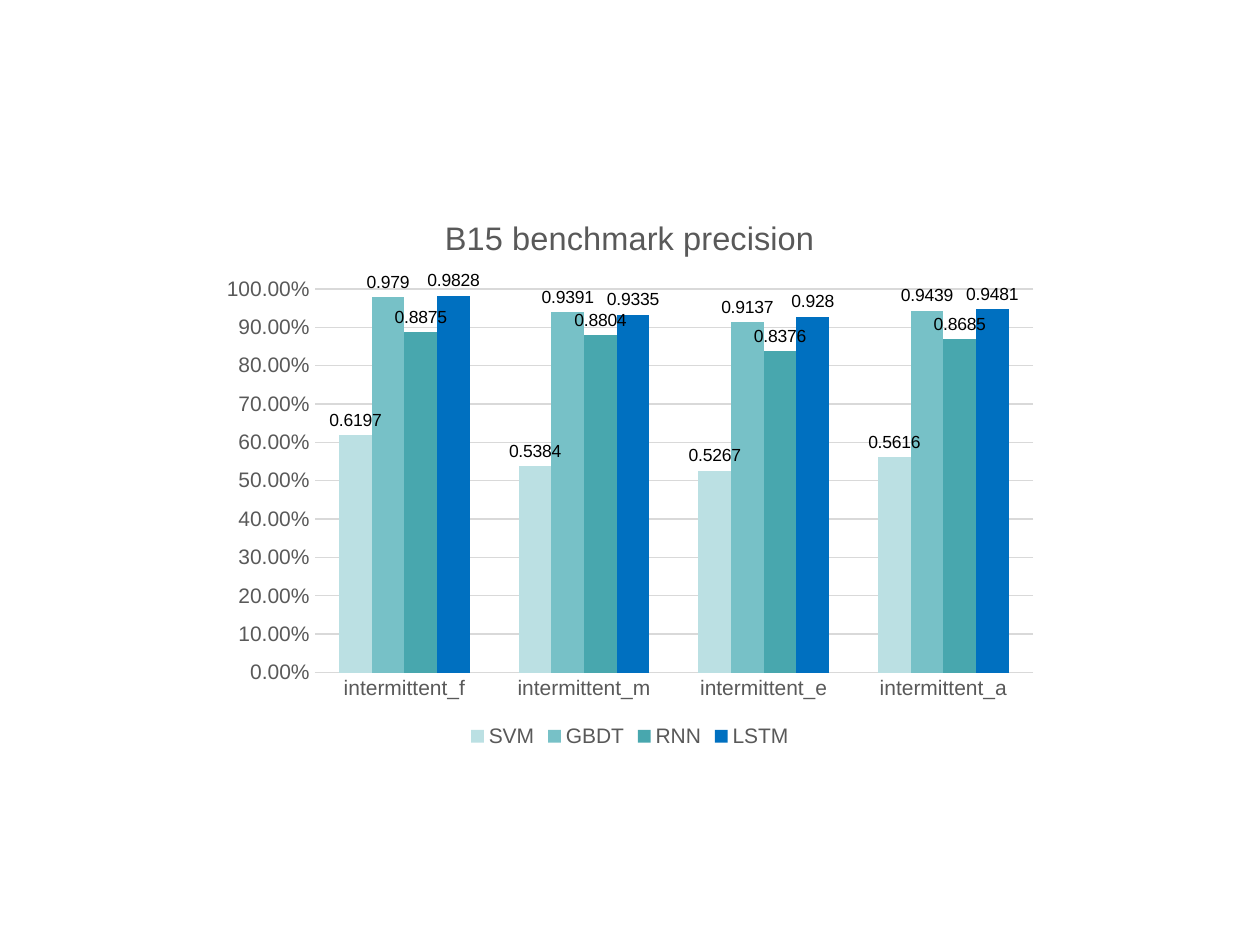
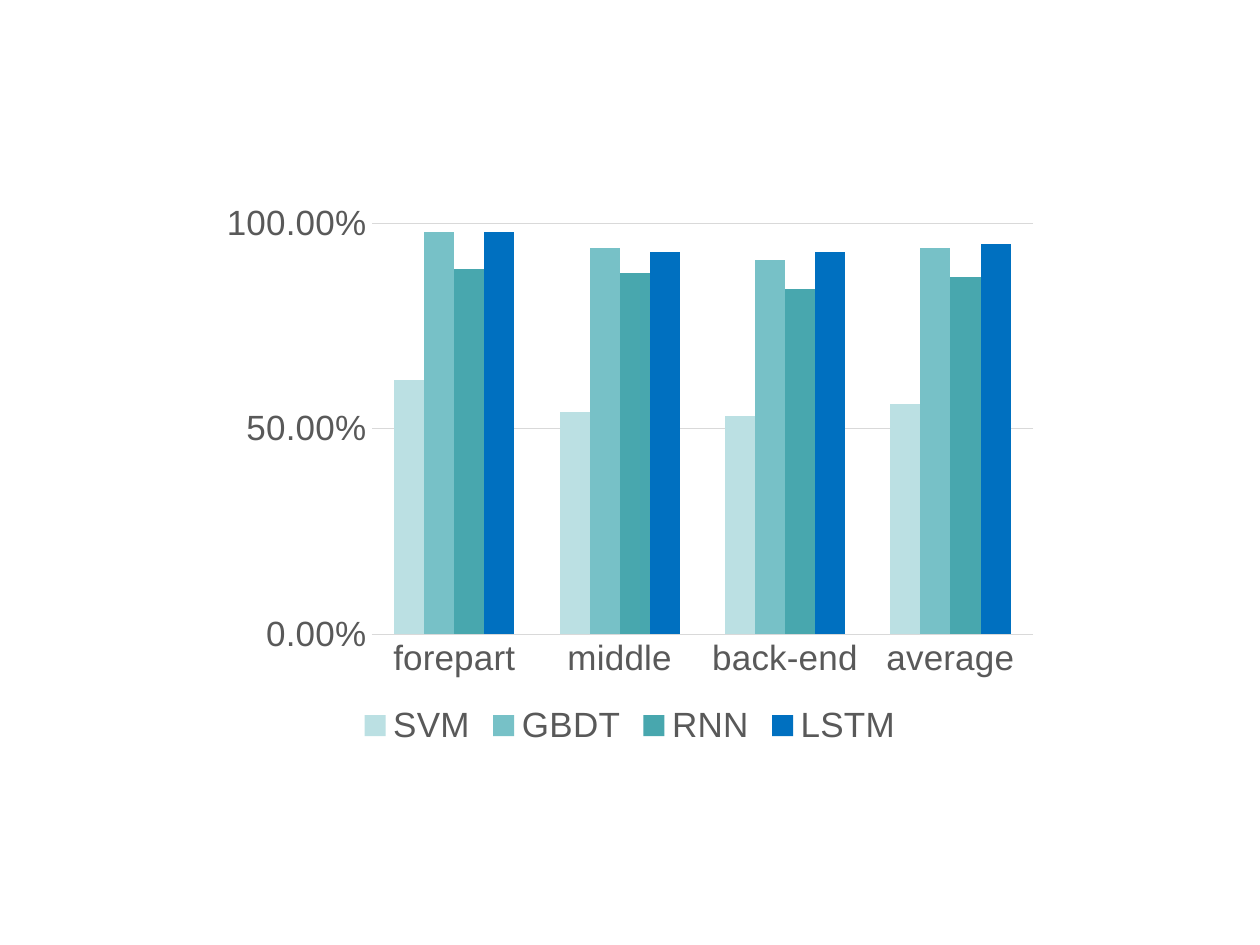
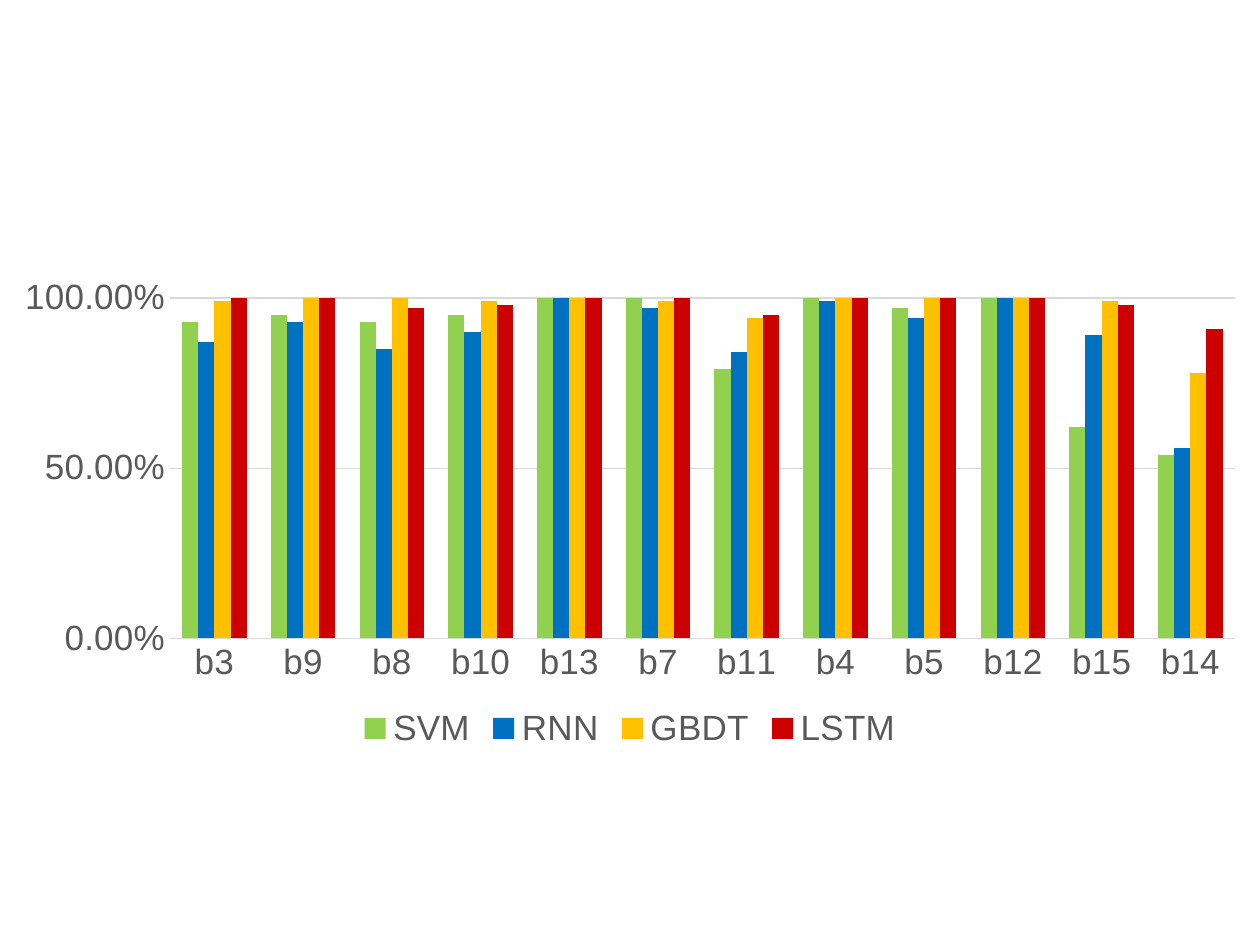
from dataclasses import dataclass

from pptx import Presentation
from pptx.chart.data import CategoryChartData
from pptx.dml.color import RGBColor
from pptx.enum.chart import XL_CHART_TYPE as ChartType
from pptx.enum.chart import XL_LABEL_POSITION as LabelPosition
from pptx.enum.chart import XL_LEGEND_POSITION as LegendPosition
from pptx.enum.chart import XL_TICK_MARK as TickMark
from pptx.util import Pt


@dataclass(frozen=True)
class Theme:
    font: str = "Arial"
    text: str = "595959"
    label: str = "000000"
    rule: str = "D9D9D9"
    title_size: float = 18.6
    label_size: float = 10
    rule_width: float = 0.75
    gap_width: int = 150


THEME = Theme()
SLIDE_WIDTH, SLIDE_HEIGHT = 720, 540
CENTERED_FRAME = (120, 110, 480, 320)
FULL_WIDTH_FRAME = (0, 153.5, SLIDE_WIDTH, 278)
TEAL_TO_BLUE = {"SVM": "BBE0E3", "GBDT": "77C1C7", "RNN": "48A7AE", "LSTM": "0070C0"}
CONTRASTING = {"SVM": "92D050", "RNN": "0070C0", "GBDT": "FFC000", "LSTM": "CC0000"}

BENCHMARKS = [
    {
        "title": "B15 benchmark precision",
        "frame": CENTERED_FRAME,
        "text_size": 12,
        "major_unit": 0.1,
        "value_labels": True,
        "colors": TEAL_TO_BLUE,
        "categories": ["intermittent_f", "intermittent_m", "intermittent_e", "intermittent_a"],
        "precision": {
            "SVM": [0.6197, 0.5384, 0.5267, 0.5616],
            "GBDT": [0.979, 0.9391, 0.9137, 0.9439],
            "RNN": [0.8875, 0.8804, 0.8376, 0.8685],
            "LSTM": [0.9828, 0.9335, 0.928, 0.9481],
        },
    },
    {
        "title": None,
        "frame": CENTERED_FRAME,
        "text_size": 20,
        "major_unit": 0.5,
        "value_labels": False,
        "colors": TEAL_TO_BLUE,
        "categories": ["forepart", "middle", "back-end", "average"],
        "precision": {
            "SVM": [0.62, 0.54, 0.53, 0.56],
            "GBDT": [0.98, 0.94, 0.91, 0.94],
            "RNN": [0.89, 0.88, 0.84, 0.87],
            "LSTM": [0.98, 0.93, 0.93, 0.95],
        },
    },
    {
        "title": None,
        "frame": FULL_WIDTH_FRAME,
        "text_size": 20,
        "major_unit": 0.5,
        "value_labels": False,
        "colors": CONTRASTING,
        "categories": ["b3", "b9", "b8", "b10", "b13", "b7",
                       "b11", "b4", "b5", "b12", "b15", "b14"],
        "precision": {
            "SVM": [0.93, 0.95, 0.93, 0.95, 1, 1, 0.79, 1, 0.97, 1, 0.62, 0.54],
            "RNN": [0.87, 0.93, 0.85, 0.9, 1, 0.97, 0.84, 0.99, 0.94, 1, 0.89, 0.56],
            "GBDT": [0.99, 1, 1, 0.99, 1, 0.99, 0.94, 1, 1, 1, 0.99, 0.78],
            "LSTM": [1, 1, 0.97, 0.98, 1, 1, 0.95, 1, 1, 1, 0.98, 0.91],
        },
    },
]


def set_font(font, size, color=THEME.text):
    font.name = THEME.font
    font.size = Pt(size)
    font.bold = False
    font.color.rgb = RGBColor.from_string(color)


def set_rule(line):
    line.color.rgb = RGBColor.from_string(THEME.rule)
    line.width = Pt(THEME.rule_width)


def style_title(chart, title):
    chart.has_title = title is not None
    if title is None:
        return
    frame = chart.chart_title.text_frame
    frame.text = title
    set_font(frame.paragraphs[0].font, THEME.title_size)
    chart.chart_title.include_in_layout = False


def style_axes(chart, text_size, major_unit):
    for axis in (chart.category_axis, chart.value_axis):
        axis.major_tick_mark = axis.minor_tick_mark = TickMark.NONE
        set_font(axis.tick_labels.font, text_size)
    set_rule(chart.category_axis.format.line)

    scale = chart.value_axis
    scale.minimum_scale, scale.maximum_scale = 0, 1
    scale.major_unit = major_unit
    scale.format.line.fill.background()
    set_rule(scale.major_gridlines.format.line)
    scale.tick_labels.number_format = "0.00%"
    scale.tick_labels.number_format_is_linked = False


def style_legend(chart, text_size):
    chart.has_legend = True
    chart.legend.position = LegendPosition.BOTTOM
    chart.legend.include_in_layout = False
    set_font(chart.legend.font, text_size)


def style_columns(chart, colors, value_labels):
    plot = chart.plots[0]
    plot.gap_width = THEME.gap_width
    plot.overlap = 0
    plot.vary_by_categories = False
    for model in plot.series:
        model.format.fill.solid()
        model.format.fill.fore_color.rgb = RGBColor.from_string(colors[model.name])
        model.invert_if_negative = False
        if value_labels:
            labels = model.data_labels
            labels.show_value = True
            labels.position = LabelPosition.OUTSIDE_END
            set_font(labels.font, THEME.label_size, THEME.label)


def add_benchmark(slide, benchmark):
    data = CategoryChartData()
    data.categories = benchmark["categories"]
    for model, values in benchmark["precision"].items():
        data.add_series(model, values)
    frame = map(Pt, benchmark["frame"])
    chart = slide.shapes.add_chart(ChartType.COLUMN_CLUSTERED, *frame, data).chart
    set_font(chart.font, THEME.label_size, THEME.label)
    style_title(chart, benchmark["title"])
    style_axes(chart, benchmark["text_size"], benchmark["major_unit"])
    style_legend(chart, benchmark["text_size"])
    style_columns(chart, benchmark["colors"], benchmark["value_labels"])


def main():
    deck = Presentation()
    deck.slide_width, deck.slide_height = Pt(SLIDE_WIDTH), Pt(SLIDE_HEIGHT)
    blank = deck.slide_layouts.get_by_name("Blank")
    for benchmark in BENCHMARKS:
        add_benchmark(deck.slides.add_slide(blank), benchmark)
    deck.save("out.pptx")


if __name__ == "__main__":
    main()
